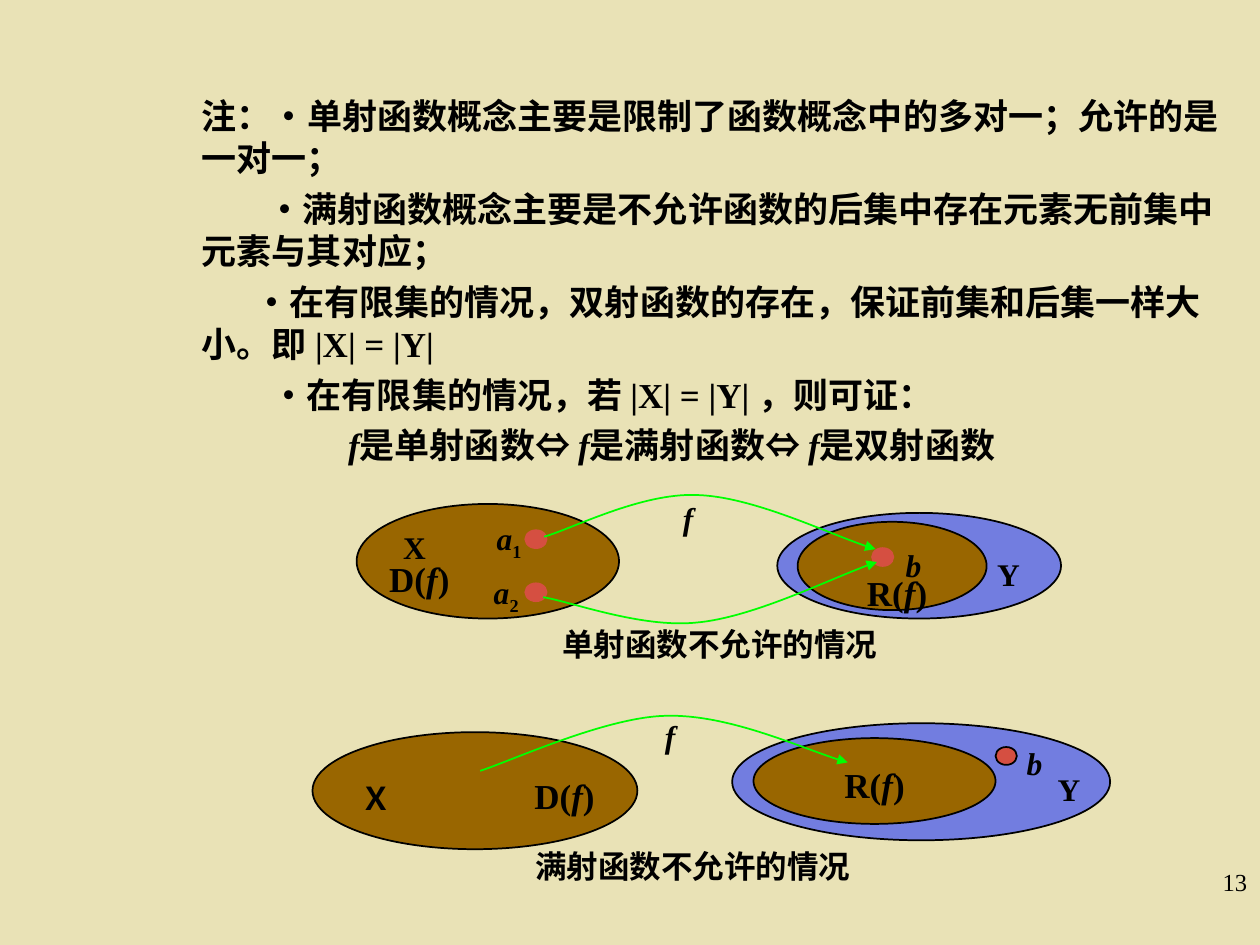
"""Build a slide of notes on injective and surjective functions with two set diagrams."""
from lxml import etree
from pptx import Presentation
from pptx.dml.color import RGBColor
from pptx.enum import shapes, text
from pptx.oxml import ns
from pptx.util import Cm, Pt

SAND = RGBColor(0xE9, 0xE2, 0xB6)
BROWN = RGBColor(0x99, 0x66, 0x00)
BLUE = RGBColor(0x72, 0x7D, 0xE0)
RED = RGBColor(0xD5, 0x4F, 0x41)
GREEN = RGBColor(0x00, 0xFF, 0x00)
BLACK = RGBColor(0x00, 0x00, 0x00)
SERIF, HAN, SANS = "Times New Roman", "Noto Sans CJK SC", "Arial"
INSET = 0.13
DOT = (0.43, 0.36)

BULLET = ("•", SANS, "")
ARROW = ("⇔ ", SANS, "")
F = ("f", SERIF, "i")
EQUAL = "|X| = |Y|"
NOTES = [
    (0, [("注：", HAN, ""), BULLET,
         ("单射函数概念主要是限制了函数概念中的多对一；允许的是一对一；", HAN, "")]),
    (1.32, [BULLET, ("满射函数概念主要是不允许函数的后集中存在元素无前集中元素与其对应；", HAN, "")]),
    (1.06, [BULLET, ("在有限集的情况，双射函数的存在，保证前集和后集一样大小。即 ", HAN, ""),
            (EQUAL, SERIF, "")]),
    (1.41, [BULLET, ("在有限集的情况，若 ", HAN, ""), (EQUAL + " ，则可证：", SERIF, "")]),
    (2.95, [F, ("是单射函数", HAN, ""), ARROW, F, ("是满射函数", HAN, ""), ARROW,
            F, ("是双射函数", HAN, "")]),
]

DOMAIN = [("D(", ""), ("f", "i"), (")", "")]
RANGE = [("R(", ""), ("f", "i"), (")", "")]
DIAGRAMS = [
    {
        "ellipses": [
            (7.19, 10.16, 5.29, 2.31, BROWN, BLACK),
            (15.67, 10.34, 5.72, 2.13, BLUE, BLACK),
            (10.59, 11.76, *DOT, RED, RED),
            (10.59, 10.69, *DOT, RED, RED),
            (16.08, 10.52, 3.81, 1.78, BROWN, BLACK),
            (17.58, 11.05, *DOT, RED, RED),
        ],
        "labels": [
            (9.53, 10.34, 1.47, 18, INSET, [("a", "i"), ("1", "sub")]),
            (9.47, 11.43, 1.47, 18, INSET, [("a", "i"), ("2", "sub")]),
            (17.78, 10.87, 1.27, 18, INSET, [("b", "i")]),
            (7.62, 10.52, 1.47, 18, INSET, [("X", "")]),
            (19.48, 11.05, 1.7, 18, INSET, [("Y", "")]),
            (12.7, 9.93, 2.34, 18, INSET, [("f", "i")]),
            (10.8, 12.47, 7.42, 18, INSET, [("单射函数不允许的情况", "")]),
            (7.82, 11.23, 1.27, 20, 0, DOMAIN),
            (17.35, 11.53, 1.47, 20, 0, RANGE),
        ],
        "curves": [
            [(10.97, 10.82), (11.51, 10.67), (12.93, 9.93), (14.05, 9.98),
             (15.16, 10.01), (16.89, 10.85), (17.65, 11.07)],
            [(10.95, 12.04), (11.48, 12.12), (12.93, 12.67), (14.05, 12.55),
             (15.16, 12.45), (16.92, 11.58), (17.68, 11.33)],
        ],
    },
    {
        "ellipses": [
            (14.76, 14.58, 7.62, 2.36, BLUE, BLACK),
            (15.19, 14.88, 4.88, 1.73, BROWN, BLACK),
            (20.07, 15.06, *DOT, RED, BLACK),
            (6.3, 14.76, 6.55, 2.36, BROWN, BLACK),
        ],
        "labels": [
            (10.26, 16.94, 7.42, 18, INSET, [("满射函数不允许的情况", "")]),
            (20.12, 14.86, 1.47, 18, INSET, [("b", "i")]),
            (20.7, 15.39, 1.7, 18, INSET, [("Y", "")]),
            (16.36, 15.27, 2.54, 20, INSET, RANGE),
            (6.73, 15.57, 1.7, 18, INSET, [("Ｘ", "")]),
            (10.11, 15.49, 2.54, 20, INSET, DOMAIN),
            (12.34, 14.33, 2.34, 18, INSET, [("f", "i")]),
        ],
        "curves": [
            [(9.68, 15.54), (10.31, 15.34), (12.22, 14.45), (13.44, 14.43),
             (14.68, 14.4), (16.33, 15.16), (17.09, 15.37)],
        ],
    },
]


def add_box(parent, left, top, width, height, inset=INSET):
    box = parent.add_textbox(Cm(left), Cm(top), Cm(width), Cm(height))
    frame = box.text_frame
    frame.word_wrap = True
    frame.margin_left = frame.margin_right = Cm(2 * inset)
    frame.margin_top = frame.margin_bottom = Cm(inset)
    return frame


def style_para(para, size, bold=True):
    font = para.font
    font.name, font.size, font.bold = SERIF, Pt(size), bold
    font.color.rgb = BLACK
    defaults = para._p.pPr.find(ns.qn("a:defRPr"))
    etree.SubElement(defaults, ns.qn("a:ea"), typeface=HAN)


def add_span(para, words, style, name=None):
    span = para.add_run()
    span.text = words
    if name:
        span.font.name = name
    if style == "i":
        span.font.italic = True
    properties = span._r.get_or_add_rPr()
    if style == "sub":
        properties.set("baseline", "-25000")
    etree.SubElement(properties, ns.qn("a:ea"), typeface=HAN)


def add_notes(parent):
    frame = add_box(parent, 3.81, 1.78, 21.16, 10)
    for number, (indent, spans) in enumerate(NOTES):
        para = frame.add_paragraph() if number else frame.paragraphs[0]
        para.line_spacing = Pt(24)
        para.space_before = Pt(5 if number else 0)
        para._p.get_or_add_pPr().set("indent", str(Cm(indent)))
        style_para(para, 20)
        for words, name, style in spans:
            add_span(para, words, style, name)


def add_ellipse(parent, left, top, width, height, fill, line):
    shape = parent.add_shape(shapes.MSO_SHAPE.OVAL, Cm(left), Cm(top), Cm(width), Cm(height))
    shape.shadow.inherit = False
    shape.fill.solid()
    shape.fill.fore_color.rgb = fill
    shape.line.color.rgb = line
    shape.line.width = Pt(1)


def add_label(parent, left, top, width, size, inset, spans):
    frame = add_box(parent, left, top, width, size * 0.042 + 2 * inset, inset)
    para = frame.paragraphs[0]
    para.alignment = text.PP_ALIGN.CENTER
    style_para(para, size)
    for words, style in spans:
        add_span(para, words, style)


def add_curve(parent, points):
    start, *rest = [(Cm(x), Cm(y)) for x, y in points]
    builder = parent.build_freeform(*start)
    builder.add_line_segments(rest, close=False)
    curve = builder.convert_to_shape()
    curve.shadow.inherit = False
    curve.fill.background()
    curve.line.color.rgb = GREEN
    curve.line.width = Pt(1)
    etree.SubElement(curve.line._get_or_add_ln(), ns.qn("a:tailEnd"), type="triangle")
    steps = list(curve._element.iter(ns.qn("a:lnTo")))
    outline = steps[0].getparent()
    for first in range(0, len(steps), 3):
        bend = etree.SubElement(outline, ns.qn("a:cubicBezTo"))
        for step in steps[first:first + 3]:
            bend.append(step[0])
            outline.remove(step)


def main():
    deck = Presentation()
    deck.slide_width, deck.slide_height = Cm(25.4), Cm(19.05)
    page = deck.slides.add_slide(deck.slide_layouts[6])
    page.background.fill.solid()
    page.background.fill.fore_color.rgb = SAND
    para = add_box(page.shapes, 20.12, 17.35, 5.28, 1.27).paragraphs[0]
    para.alignment = text.PP_ALIGN.RIGHT
    style_para(para, 14, bold=False)
    add_span(para, "13", "")
    add_notes(page.shapes)
    for diagram in DIAGRAMS:
        group = page.shapes.add_group_shape().shapes
        for ellipse in diagram["ellipses"]:
            add_ellipse(group, *ellipse)
        for label in diagram["labels"]:
            add_label(group, *label)
        for points in diagram["curves"]:
            add_curve(group, points)
    deck.save("out.pptx")


if __name__ == "__main__":
    main()
